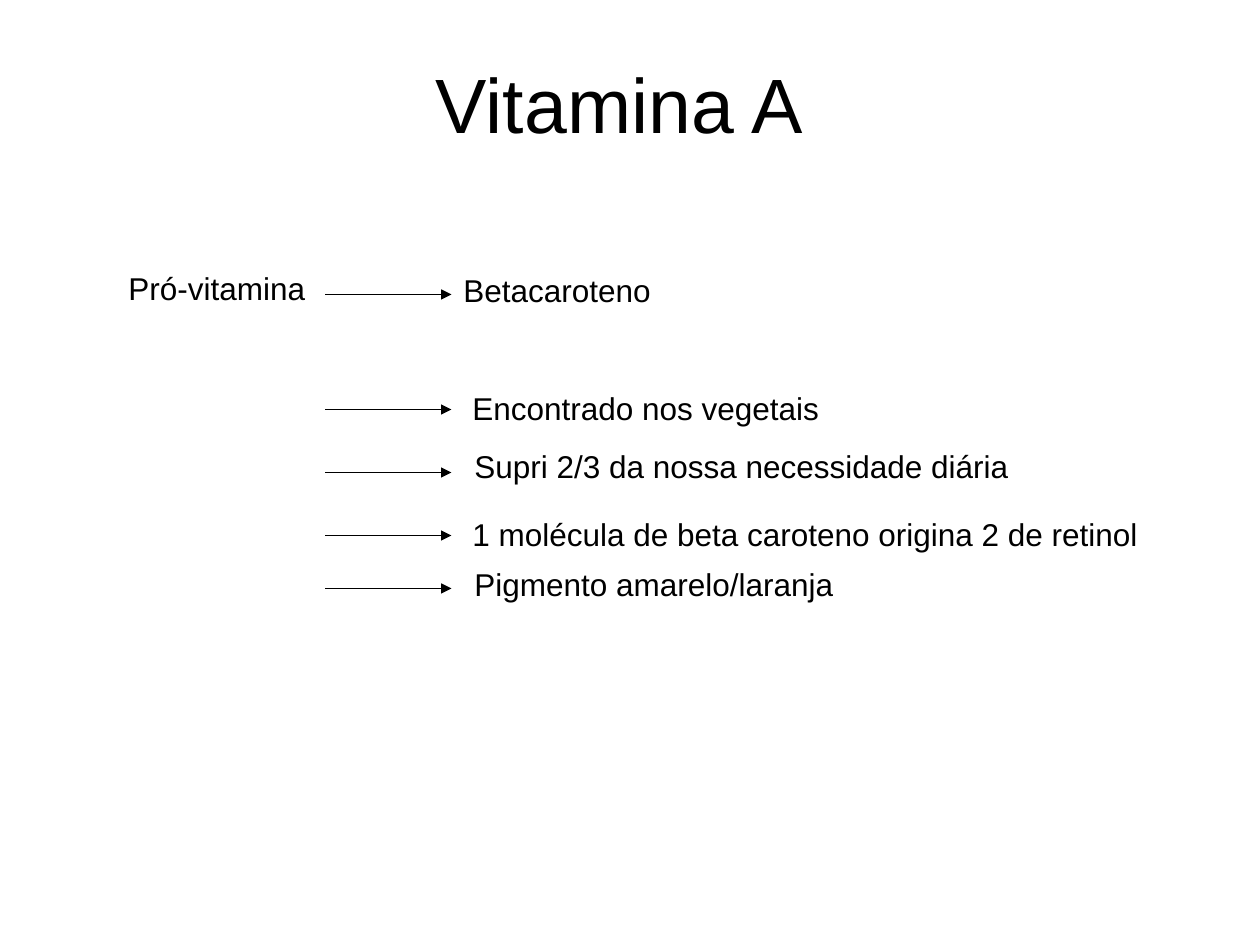
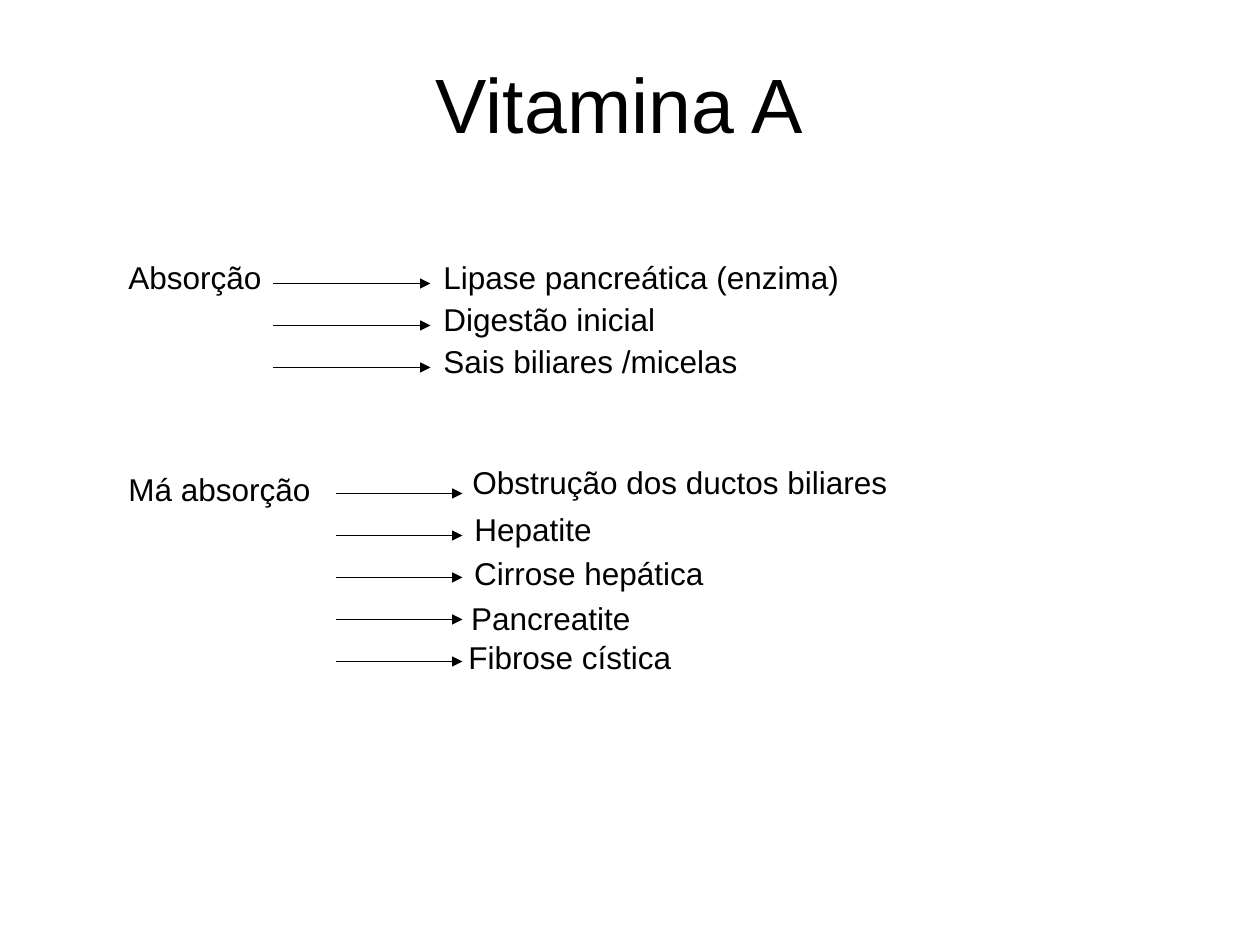
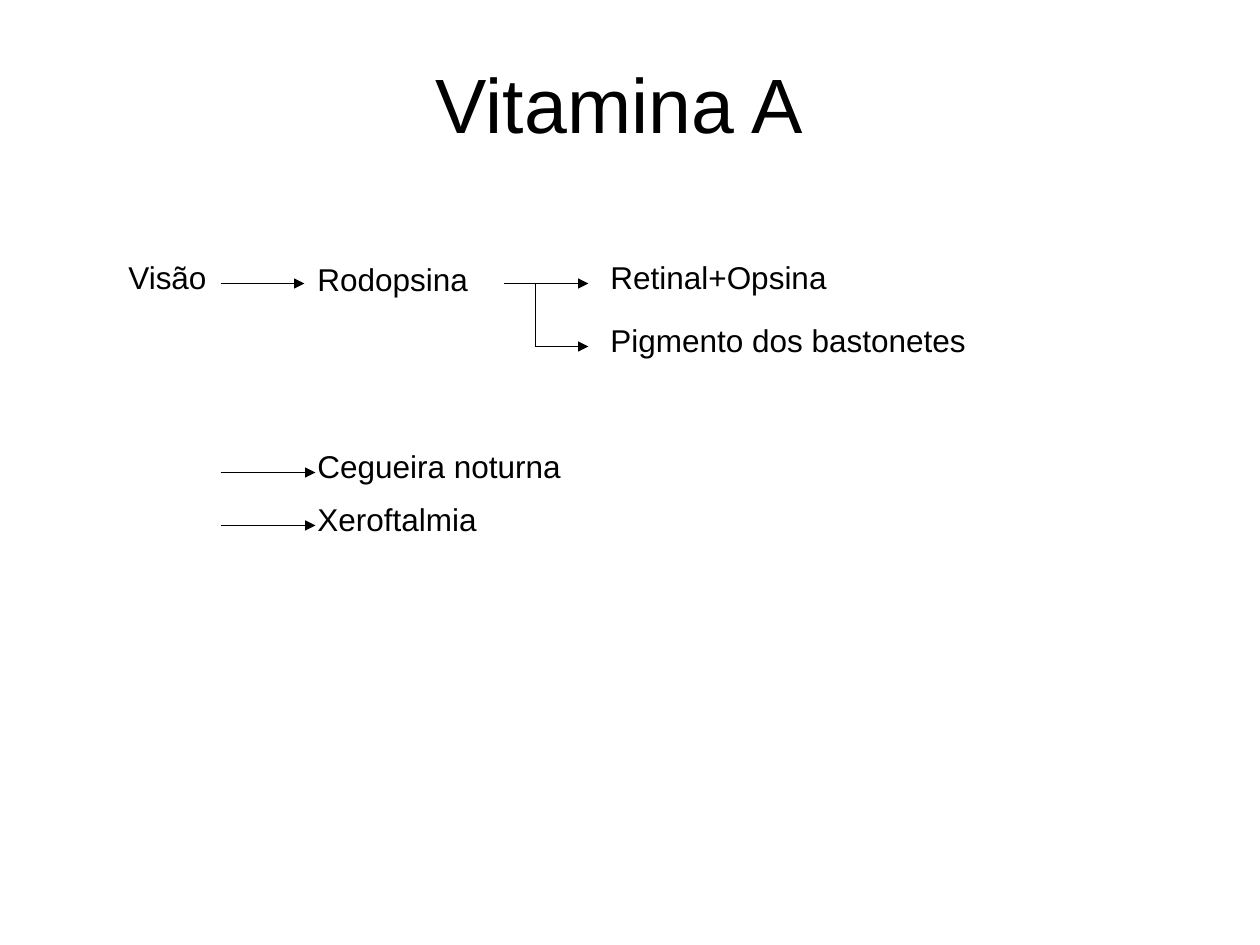
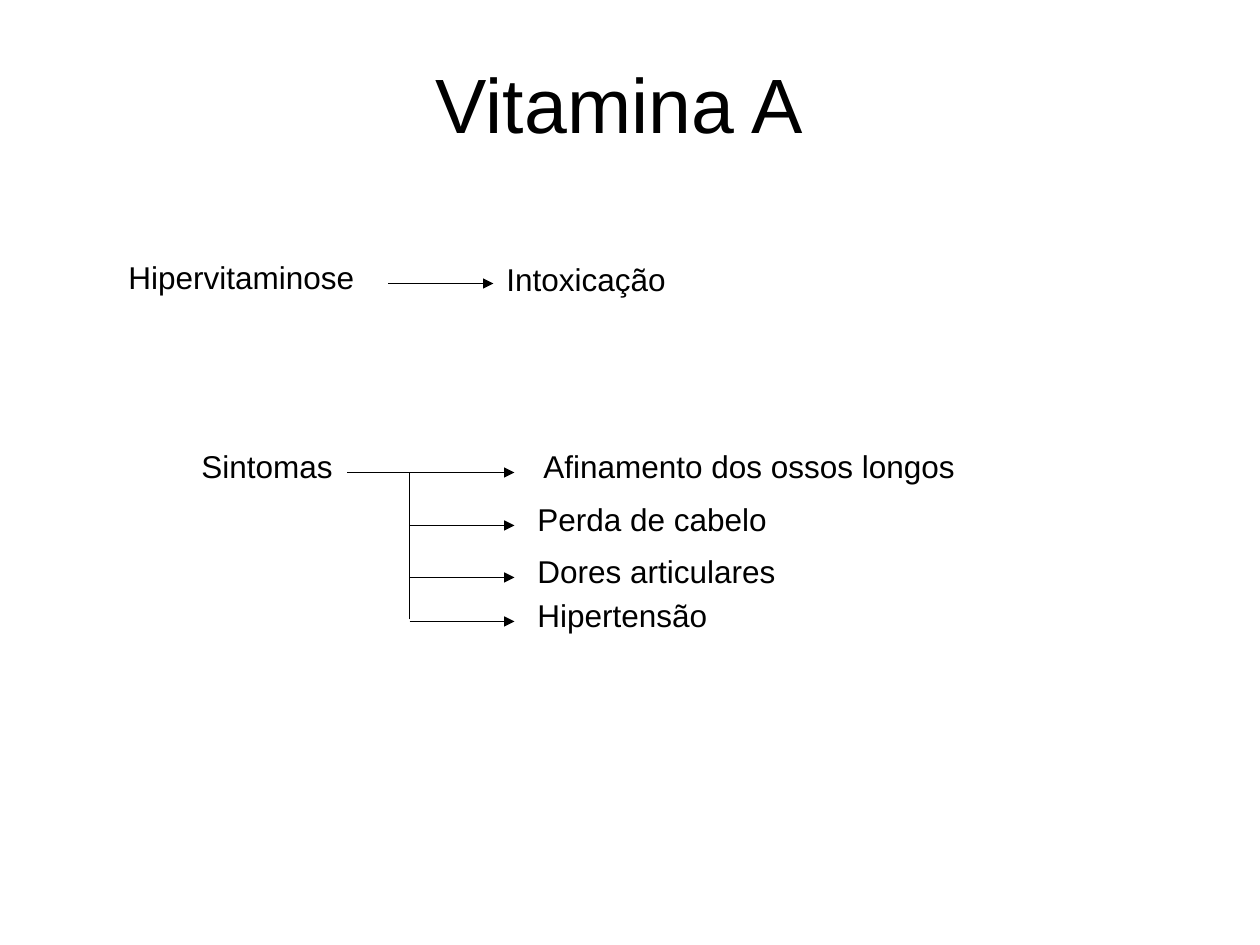
from dataclasses import dataclass

from pptx import Presentation
from pptx.dml.color import RGBColor
from pptx.enum.shapes import MSO_CONNECTOR
from pptx.enum.text import MSO_ANCHOR, MSO_AUTO_SIZE, PP_ALIGN
from pptx.oxml.ns import qn
from pptx.util import Inches, Pt
from lxml import etree

STRAIGHT = MSO_CONNECTOR.STRAIGHT
TOP, MIDDLE, BOTTOM = MSO_ANCHOR.TOP, MSO_ANCHOR.MIDDLE, MSO_ANCHOR.BOTTOM
LEFT, CENTER = PP_ALIGN.LEFT, PP_ALIGN.CENTER
FIT_SHAPE = MSO_AUTO_SIZE.SHAPE_TO_FIT_TEXT

PX = Inches(1) / 126    # one pixel in EMU
MARGIN = 116            # left edge of the topic labels
FIRST_ROW = 283         # height of the first arrow on most slides


def px(n):
    return round(n * PX)


@dataclass(frozen=True)
class Theme:
    ink: RGBColor = RGBColor(0, 0, 0)
    paper: RGBColor = RGBColor(255, 255, 255)
    font: str = "Arial"
    title_size: float = 44
    label_size: float = 18
    line_width: float = 0.74


class Deck:
    def __init__(self, theme):
        self.theme = theme
        self.prs = Presentation()
        self.prs.slide_width, self.prs.slide_height = Inches(10), Inches(7.5)
        self.s = None

    def slide(self, title):
        self.s = self.prs.slides.add_slide(self.prs.slide_layouts[6])
        fill = self.s.background.fill
        fill.solid()
        fill.fore_color.rgb = self.theme.paper
        self.text(title, 84, 32, 1071, 123, self.theme.title_size,
                  BOTTOM, CENTER).word_wrap = True

    def text(self, words, x, y, w, h, size, anchor, align):
        sp = self.s.shapes.add_textbox(px(x), px(y), px(w), px(h))
        tf = sp.text_frame
        tf.vertical_anchor = anchor
        p = tf.paragraphs[0]
        p.alignment = align
        r = p.add_run()
        r.text = words
        r.font.name = self.theme.font
        r.font.size = Pt(size)
        r.font.color.rgb = self.theme.ink
        return tf

    def label(self, words, x, y, w, anchor=TOP):
        tf = self.text(words, x, y, w, 50, self.theme.label_size, anchor, LEFT)
        tf.word_wrap = False
        tf.auto_size = FIT_SHAPE

    def line(self, *ends):
        # Lines run through pixel centres, so they stay thin
        c = self.s.shapes.add_connector(STRAIGHT, *(px(n + 0.5) for n in ends))
        c.line.color.rgb = self.theme.ink
        c.line.width = Pt(self.theme.line_width)
        etree.SubElement(c._element.spPr, qn("a:effectLst"))
        return c

    def arrows(self, x1, x2, *rows):
        for y in rows:
            ln = self.line(x1, y, x2, y).line._get_or_add_ln()
            etree.SubElement(ln, qn("a:tailEnd"), type="triangle")


deck = Deck(Theme())
TITLE = "Vitamina A"

# Slide 1: provitamin
deck.slide(TITLE)
deck.label("Pró-vitamina ", MARGIN, 263, 210, MIDDLE)
deck.arrows(325, 451, 294, 409, 472, 535, 588)
deck.label("Betacaroteno", 451, 265, 214)
deck.label("Encontrado nos vegetais", 460, 383, 372)
deck.label("Supri 2/3 da nossa necessidade diária", 462, 441, 559)
deck.label("1 molécula de beta caroteno origina 2 de retinol", 460, 509, 692)
deck.label("Pigmento amarelo/laranja", 462, 559, 384)

# Slide 2: absorption and malabsorption
ROW_STEP = 42
deck.slide(TITLE)
deck.label("Absorção", MARGIN, 252, 158)
steps = [("Lipase pancreática (enzima) ", 430), ("Digestão inicial", 237),
         ("Sais biliares /micelas", 319)]
for i, (words, w) in enumerate(steps):
    deck.arrows(273, 430, FIRST_ROW + i * ROW_STEP)
    deck.label(words, 431, 252 + i * ROW_STEP, w)

deck.label("Má absorção", MARGIN, 464, 207)
causes = [("Obstrução dos ductos biliares ", 460, 457, 449),
          ("Hepatite ", 462, 504, 151),
          (" Cirrose hepática ", 453, 548, 272),
          (" Pancreatite", 450, 593, 193),
          ("Fibrose cística ", 456, 632, 237)]
for i, cause in enumerate(causes):
    deck.arrows(336, 462, 493 + i * ROW_STEP)
    deck.label(*cause)

# Slide 3: vision
deck.slide(TITLE)
deck.label("Visão", MARGIN, 252, 103)
deck.arrows(220, 304, FIRST_ROW)
deck.label("Rodopsina ", 305, 254, 184, MIDDLE)
deck.arrows(504, 588, FIRST_ROW)
deck.label("Retinal+Opsina", 598, 252, 243, MIDDLE)
deck.line(535, FIRST_ROW, 535, 346)
deck.arrows(535, 588, 346)
deck.label("Pigmento dos bastonetes ", 598, 315, 389, MIDDLE)
deck.arrows(220, 315, 472, 525)
deck.label("Cegueira noturna ", 305, 441, 277, MIDDLE)
deck.label("Xeroftalmia", 305, 494, 186)

# Slide 4: hypervitaminosis and its symptoms
TRUNK = 409
deck.slide(TITLE)
deck.label("Hipervitaminose", MARGIN, 252, 251)
deck.arrows(388, 493, FIRST_ROW)
deck.label("Intoxicação ", 494, 254, 193, MIDDLE)
deck.label("Sintomas", 189, 441, 158)
deck.line(TRUNK, 472, 346, 472)
deck.line(TRUNK, 619, TRUNK, 472)
deck.arrows(TRUNK, 514, 472, 525, 577, 621)
deck.label("Afinamento dos ossos longos ", 531, 441, 445, MIDDLE)
deck.label("Perda de cabelo ", 525, 494, 263, MIDDLE)
deck.label("Dores articulares ", 525, 546, 272, MIDDLE)
deck.label("Hipertensão ", 525, 590, 203, MIDDLE)

deck.prs.save("out.pptx")
